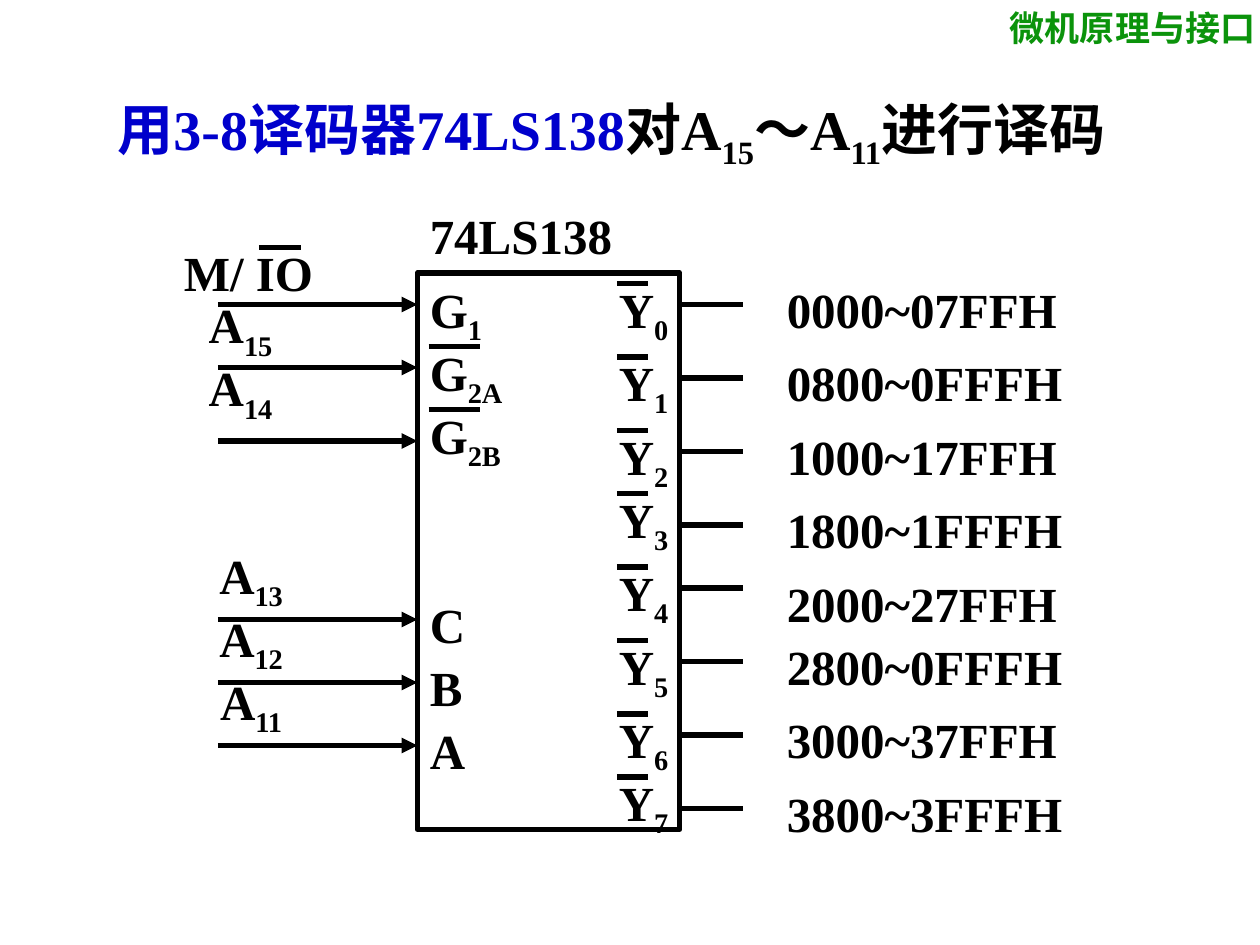
from dataclasses import dataclass

import lxml.etree
import pptx
import pptx.dml.color
import pptx.enum.shapes
import pptx.enum.text
import pptx.oxml.ns
import pptx.util

COLORS = {"black": "000000", "blue": "0000CC", "green": "0B930B"}
FONT = "Times New Roman"
CHIP_LEFT, CHIP_TOP, CHIP_WIDTH, CHIP_HEIGHT = 238.5, 156, 150, 318
CHIP_RIGHT = CHIP_LEFT + CHIP_WIDTH
INPUT_LEFT = 124.5
BAR_RISE = 6


@dataclass
class Span:
    text: str
    color: str = "black"
    subscript: bool = False


@dataclass
class Label:
    left: float
    top: float
    width: float
    text: str
    subscript: str = ""
    centered: bool = False
    bar: tuple[float, float] | None = None


@dataclass
class Output:
    label_top: float
    pin_y: float
    range_top: float
    addresses: str


LABELS = [
    Label(CHIP_LEFT, 114, 132, "74LS138"),
    Label(CHIP_LEFT, 156, 54, "G", "1"),
    Label(CHIP_LEFT, 192, 84, "G", "2A", bar=(245, 274.5)),
    Label(CHIP_LEFT, 228, 90, "G", "2B", bar=(245, 274.5)),
    Label(CHIP_LEFT, 336, 54, "C"),
    Label(CHIP_LEFT, 372, 54, "B"),
    Label(CHIP_LEFT, 408, 54, "A"),
    Label(88, 135.3, 108, "M/ IO", centered=True, bar=(148, 172)),
    Label(98.5, 165, 78, "A", "15", centered=True),
    Label(98.5, 201, 78, "A", "14", centered=True),
    Label(104.5, 308.3, 78, "A", "13", centered=True),
    Label(104.5, 344.3, 78, "A", "12", centered=True),
    Label(104.5, 380.3, 78, "A", "11", centered=True),
]

INPUT_PINS = [210, 252, 354, 390, 426]

OUTPUTS = [
    Output(156, 174, 156, "0000~07FFH"),
    Output(198, 216, 198, "0800~0FFFH"),
    Output(240, 258, 240, "1000~17FFH"),
    Output(276, 300, 282, "1800~1FFFH"),
    Output(318, 336, 324, "2000~27FFH"),
    Output(360, 378, 360, "2800~0FFFH"),
    Output(402, 420, 402, "3000~37FFH"),
    Output(438, 462, 444, "3800~3FFFH"),
]

TITLE = [
    Span("用3-8译码器74LS138", "blue"),
    Span("对A"),
    Span("15", subscript=True),
    Span("～A"),
    Span("11", subscript=True),
    Span("进行译码"),
]


def rgb(name: str) -> pptx.dml.color.RGBColor:
    return pptx.dml.color.RGBColor.from_string(COLORS[name])


def add_text(page, left: float, top: float, width: float, height: float,
             spans: list[Span], size: float = 28, centered: bool = False,
             grow: bool = True):
    box = page.shapes.add_textbox(*map(pptx.util.Pt, (left, top, width, height)))
    frame = box.text_frame
    frame.word_wrap = True
    if grow:
        frame.auto_size = pptx.enum.text.MSO_AUTO_SIZE.SHAPE_TO_FIT_TEXT
    para = frame.paragraphs[0]
    if centered:
        para.alignment = pptx.enum.text.PP_ALIGN.CENTER
    para.font.name = FONT
    para.font.size = pptx.util.Pt(size)
    para.font.bold = True
    for part in spans:
        span = para.add_run()
        span.text = part.text
        span.font.color.rgb = rgb(part.color)
        if part.subscript:
            span._r.get_or_add_rPr().set("baseline", "-25000")
    return box


def add_line(page, start: float, end: float, y: float, arrow: bool = False) -> None:
    line = page.shapes.add_connector(
        pptx.enum.shapes.MSO_CONNECTOR.STRAIGHT,
        *map(pptx.util.Pt, (start, y, end, y)))
    line.line.color.rgb = rgb("black")
    line.line.width = pptx.util.Pt(3)
    if arrow:
        lxml.etree.SubElement(
            line.line._get_or_add_ln(), pptx.oxml.ns.qn("a:tailEnd"), type="triangle")
    lxml.etree.SubElement(line._element.spPr, pptx.oxml.ns.qn("a:effectLst"))


def add_label(page, label: Label) -> None:
    spans = [Span(label.text)]
    if label.subscript:
        spans.append(Span(label.subscript, subscript=True))
    height = 45 if label.subscript else 41
    add_text(page, label.left, label.top, label.width, height, spans,
             centered=label.centered)
    if label.bar:
        add_line(page, *label.bar, label.top + BAR_RISE)


def add_chip(page) -> None:
    chip = page.shapes.add_shape(
        pptx.enum.shapes.MSO_SHAPE.RECTANGLE,
        *map(pptx.util.Pt, (CHIP_LEFT, CHIP_TOP, CHIP_WIDTH, CHIP_HEIGHT)))
    chip.shadow.inherit = False
    chip.fill.background()
    chip.line.color.rgb = rgb("black")
    chip.line.width = pptx.util.Pt(3)


def add_title(page) -> None:
    title = add_text(page, 60, 50.5, 623.5, 96, TITLE, size=32, grow=False)
    properties = title.text_frame.paragraphs[0]._p.get_or_add_pPr()
    properties.set("marL", str(pptx.util.Pt(27)))
    properties.set("indent", str(pptx.util.Pt(-27)))


def main() -> None:
    deck = pptx.Presentation()
    deck.slide_width = pptx.util.Pt(720)
    deck.slide_height = pptx.util.Pt(540)
    page = deck.slides.add_slide(deck.slide_layouts[6])

    add_text(page, 570, 0, 162, 31.5, [Span("微机原理与接口", "green")], size=20)
    add_title(page)
    add_chip(page)
    for label in LABELS:
        add_label(page, label)
    for number, output in enumerate(OUTPUTS):
        add_label(page, Label(346.5, output.label_top, 54, "Y", str(number),
                              bar=(352.5, 370.5)))
        add_line(page, CHIP_RIGHT, 424.5, output.pin_y)
        add_label(page, Label(442.5, output.range_top, 198, output.addresses))
    add_line(page, INPUT_LEFT, 196.5, 174)
    add_line(page, 196.5, CHIP_LEFT, 174, arrow=True)
    for y in INPUT_PINS:
        add_line(page, INPUT_LEFT, CHIP_LEFT, y, arrow=True)
    deck.save("out.pptx")


if __name__ == "__main__":
    main()
